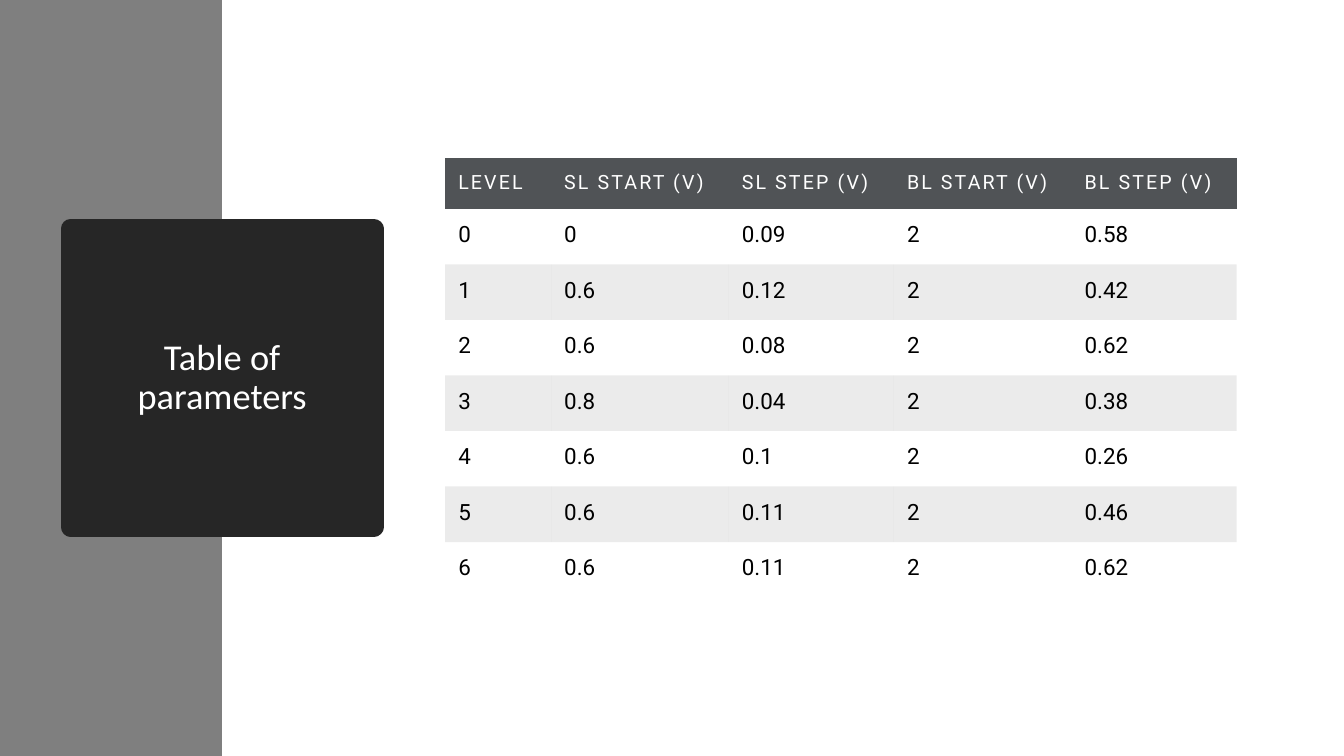
from dataclasses import dataclass

from lxml import etree
from pptx import Presentation
from pptx.dml.color import RGBColor
from pptx.enum.shapes import MSO_SHAPE
from pptx.enum.text import MSO_ANCHOR, MSO_AUTO_SIZE, PP_ALIGN
from pptx.oxml.ns import qn
from pptx.util import Pt

RECTANGLE = MSO_SHAPE.RECTANGLE
MIDDLE = MSO_ANCHOR.MIDDLE
NO_AUTOFIT = MSO_AUTO_SIZE.NONE
CENTER = PP_ALIGN.CENTER
LEFT = PP_ALIGN.LEFT

TITLE_ONLY_LAYOUT = 5
PLAIN_TABLE_STYLE = "{2D5ABB26-0587-4C30-8999-92F81FD0307C}"

HEADERS = ["LEVEL", "SL START (V)", "SL STEP (V)", "BL START (V)", "BL STEP (V)"]
PARAMETERS = [
    ["0", "0", "0.09", "2", "0.58"],
    ["1", "0.6", "0.12", "2", "0.42"],
    ["2", "0.6", "0.08", "2", "0.62"],
    ["3", "0.8", "0.04", "2", "0.38"],
    ["4", "0.6", "0.1", "2", "0.26"],
    ["5", "0.6", "0.11", "2", "0.46"],
    ["6", "0.6", "0.11", "2", "0.62"],
]
COLUMN_WIDTHS = [75.7, 126.9, 118, 126.9, 118]
HEADER_HEIGHT = 36.5
ROW_HEIGHT = 39.7


@dataclass(frozen=True)
class Theme:
    side_band: str = "7F7F7F"
    title_fill: str = "262626"
    header_fill: str = "505356"
    light_text: str = "FFFFFF"
    dark: str = "000000"
    stripe_opacity: int = 8
    title_font: str = "Calibri"
    table_font: str = "Roboto"
    title_size: float = 26
    header_size: float = 14
    body_size: float = 16
    header_tracking: float = 1.5
    title_border: float = 13.75
    cell_inset: float = 9.36


def write_text(text_frame, text, *, font, size, color, align=LEFT,
               line_spacing=1.0, tracking=0):
    paragraph = text_frame.paragraphs[0]
    paragraph.alignment = align
    paragraph.line_spacing = line_spacing
    run = paragraph.add_run()
    run.text = text
    run.font.name = font
    run.font.size = Pt(size)
    run.font.color.rgb = RGBColor.from_string(color)
    if tracking:
        run._r.get_or_add_rPr().set("spc", str(round(tracking * 100)))


def paint(fill, color):
    fill.solid()
    fill.fore_color.rgb = RGBColor.from_string(color)


class SlideBuilder:
    def __init__(self, slide, theme):
        self.slide = slide
        self.theme = theme

    def add_title(self, text, left, top, width, height):
        theme = self.theme
        title = self.slide.shapes.title
        title.left, title.top = Pt(left), Pt(top)
        title.width, title.height = Pt(width), Pt(height)
        geometry = etree.SubElement(title.element.spPr, qn("a:prstGeom"), prst="ellipse")
        etree.SubElement(geometry, qn("a:avLst"))
        paint(title.fill, theme.title_fill)
        paint(title.line.fill, theme.title_fill)
        title.line.width = Pt(theme.title_border)
        text_frame = title.text_frame
        text_frame.word_wrap = True
        text_frame.auto_size = NO_AUTOFIT
        text_frame.vertical_anchor = MIDDLE
        write_text(text_frame, text, font=theme.title_font, size=theme.title_size,
                   color=theme.light_text, align=CENTER, line_spacing=0.9)

    def add_side_band(self, width, height):
        band = self.slide.shapes.add_shape(RECTANGLE, 0, 0, Pt(width), Pt(height))
        band.shadow.inherit = False
        paint(band.fill, self.theme.side_band)
        band.line.fill.background()
        self.slide.shapes.title.element.addprevious(band.element)

    def add_table(self, rows, left, top, column_widths, row_heights):
        frame = self.slide.shapes.add_table(
            len(rows), len(column_widths), Pt(left), Pt(top),
            Pt(sum(column_widths)), Pt(sum(row_heights)))
        table = frame.table
        table.horz_banding = False
        table._tbl.tblPr.find(qn("a:tableStyleId")).text = PLAIN_TABLE_STYLE
        for column, width in zip(table.columns, column_widths):
            column.width = Pt(width)
        for row, height in zip(table.rows, row_heights):
            row.height = Pt(height)
        for row_index, values in enumerate(rows):
            for column_index, value in enumerate(values):
                self.fill_cell(table.cell(row_index, column_index), value, row_index)

    def fill_cell(self, cell, text, row_index):
        theme = self.theme
        inset = Pt(theme.cell_inset)
        cell.margin_left = cell.margin_right = inset
        cell.margin_top = cell.margin_bottom = inset
        if row_index == 0:
            paint(cell.fill, theme.header_fill)
            write_text(cell.text_frame, text, font=theme.table_font,
                       size=theme.header_size, color=theme.light_text,
                       tracking=theme.header_tracking)
            return
        if row_index % 2:
            cell.fill.background()
        else:
            paint(cell.fill, theme.dark)
            color = cell._tc.tcPr.find(".//" + qn("a:srgbClr"))
            etree.SubElement(color, qn("a:alpha"), val=str(theme.stripe_opacity * 1000))
        write_text(cell.text_frame, text, font=theme.table_font,
                   size=theme.body_size, color=theme.dark)


def main():
    presentation = Presentation()
    presentation.slide_width = Pt(960)
    presentation.slide_height = Pt(540)
    slide = presentation.slides.add_slide(presentation.slide_layouts[TITLE_ONLY_LAYOUT])
    builder = SlideBuilder(slide, Theme())
    builder.add_side_band(158.5, 540)
    builder.add_title("Table of parameters", 50.4, 163.4, 216.7, 213.1)
    row_heights = [HEADER_HEIGHT] + [ROW_HEIGHT] * len(PARAMETERS)
    builder.add_table([HEADERS] + PARAMETERS, 318, 112.6, COLUMN_WIDTHS, row_heights)
    presentation.save("out.pptx")


if __name__ == "__main__":
    main()
